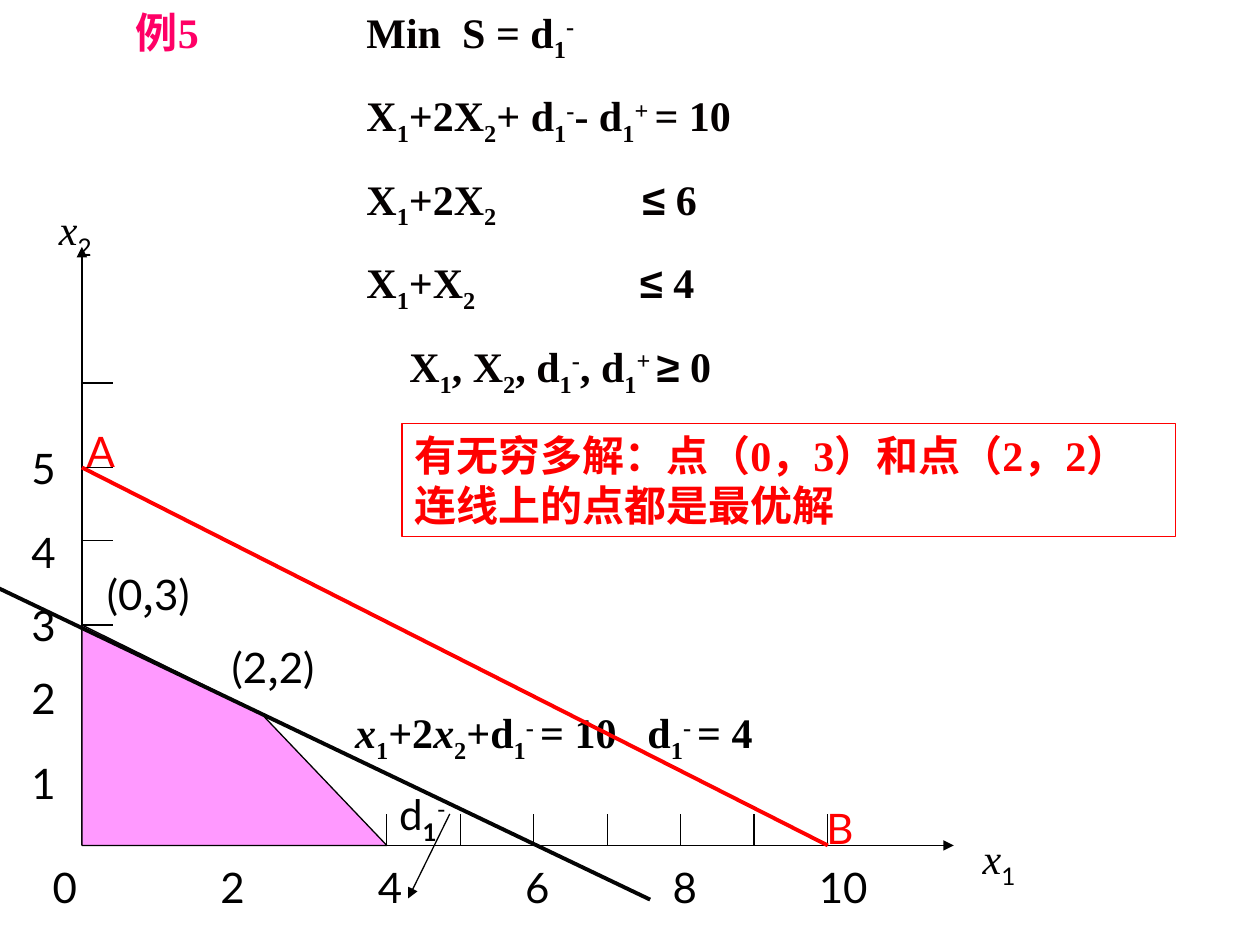
from itertools import groupby

from lxml.etree import SubElement
from pptx import Presentation
from pptx.dml.color import RGBColor
from pptx.enum.shapes import MSO_CONNECTOR, MSO_SHAPE
from pptx.enum.text import MSO_ANCHOR, MSO_AUTO_SIZE, PP_ALIGN
from pptx.oxml.ns import qn
from pptx.util import Inches, Pt

COLORS = {"black": "000000", "ink": "040404", "formula": "040000",
          "red": "FF0000", "pink": "FF0066", "region": "FF99FF"}
SERIF, SANS, CJK, SYMBOL = "Times New Roman", "Lato", "Noto Sans CJK SC", "Arial"
MARKS = {"_": "sub", "^": "super", "/": "italic"}
BASELINES = {"sub": "-25000", "super": "30000"}


def color(name):
    return RGBColor.from_string(COLORS[name])


def styled_characters(text, font, special):
    """Yield (character, mark, font); _ ^ / mark the character that follows."""
    mark = None
    for character in text:
        if character in MARKS:
            mark = MARKS[character]
        else:
            yield character, mark, special.get(character, font)
            mark = None


def write(para, text, font=SANS, ink="black", bold=False, special=None):
    characters = styled_characters(text, font, special or {})
    for (mark, face), group in groupby(characters, key=lambda item: item[1:]):
        span = para.add_run()
        span.text = "".join(item[0] for item in group)
        span.font.size = Pt(24)
        span.font.name = face
        span.font.bold = bold
        span.font.italic = mark == "italic"
        span.font.color.rgb = color(ink)
        properties = span.font._element
        SubElement(properties, qn("a:ea"), typeface=CJK)
        if mark in BASELINES:
            properties.set("baseline", BASELINES[mark])


def set_tabs(para, stops):
    tab_list = SubElement(para._p.get_or_add_pPr(), qn("a:tabLst"))
    for stop in stops:
        SubElement(tab_list, qn("a:tab"), pos=str(Inches(stop)), algn="l")


class GraphSlide:
    def __init__(self, deck):
        self.page = deck.slides.add_slide(deck.slide_layouts[6])

    def line(self, start, end, ink="black", width=0.75, arrow=False):
        points = [Inches(value) for value in (*start, *end)]
        connector = self.page.shapes.add_connector(MSO_CONNECTOR.STRAIGHT, *points)
        connector.line.color.rgb = color(ink)
        connector.line.width = Pt(width)
        if arrow:
            SubElement(connector.line._get_or_add_ln(), qn("a:tailEnd"), type="triangle")
        SubElement(connector._element.spPr, qn("a:effectLst"))

    def outline(self, shape, ink):
        shape.shadow.inherit = False
        shape.line.color.rgb = color(ink)
        shape.line.width = Pt(0.75)

    def region(self, points, fill):
        corners = [(Inches(x), Inches(y)) for x, y in points]
        builder = self.page.shapes.build_freeform(*corners[0])
        builder.add_line_segments(corners[1:], close=True)
        shape = builder.convert_to_shape()
        self.outline(shape, "black")
        shape.fill.solid()
        shape.fill.fore_color.rgb = color(fill)

    def first_paragraph(self, shape):
        frame = shape.text_frame
        frame.word_wrap = True
        frame.auto_size = MSO_AUTO_SIZE.SHAPE_TO_FIT_TEXT
        frame.vertical_anchor = MSO_ANCHOR.TOP
        para = frame.paragraphs[0]
        para.alignment = PP_ALIGN.LEFT
        return para

    def text(self, left, top, width, height, text="", **style):
        """Add a text box and return its first paragraph."""
        box = self.page.shapes.add_textbox(
            *map(Inches, (left, top, width, height)))
        para = self.first_paragraph(box)
        write(para, text, **style)
        return para

    def framed_text(self, left, top, width, height, text, ink, **style):
        box = self.page.shapes.add_shape(
            MSO_SHAPE.RECTANGLE, *map(Inches, (left, top, width, height)))
        box.fill.background()
        self.outline(box, ink)
        write(self.first_paragraph(box), text, ink=ink, **style)

    def formulas(self, left, top, width, height, heading, rows):
        """Add the heading and rows of (text, tab stops) in one text box."""
        box = self.page.shapes.add_textbox(
            *map(Inches, (left, top, width, height)))
        para = self.first_paragraph(box)
        for index, (text, stops) in enumerate(rows):
            if index:
                para = box.text_frame.add_paragraph()
                para.space_before = Pt(15)
            set_tabs(para, stops)
            if not index:
                write(para, heading, SERIF, "pink", True)
            write(para, text, SERIF, "formula", True, {"≤": SYMBOL, "≥": SYMBOL})


def draw_axes(graph, origin):
    left, base = origin
    step, tick = 0.583, 0.25
    graph.line(origin, (7.57, base), arrow=True)
    graph.line(origin, (left, 1.96), arrow=True)
    tick_columns = [left + step * n for n in (1, 2, 3)]
    tick_columns += [3.07 + step * n for n in range(7)]
    for x in tick_columns:
        graph.line((x, base), (x, base - tick))
    for y in (6.13, 5.54, 4.96, 4.29, 3.71, 3.04):
        graph.line((left, y), (left + tick, y))
    for index, x in enumerate((0.32, 1.65, 2.9, 4.07, 5.24, 6.4)):
        number = str(2 * index)
        graph.text(x, 6.79, 0.2 + 0.22 * len(number), 0.5, number)
    for number, y in enumerate((5.96, 5.29, 4.71, 4.13, 3.46), start=1):
        graph.text(0.15, y, 0.42, 0.5, str(number))


def main():
    deck = Presentation()
    deck.slide_width, deck.slide_height = Inches(10), Inches(7.5)
    graph = GraphSlide(deck)
    origin = (0.65, 6.71)
    point_a, point_b = (0.65, 3.71), (6.57, 6.71)

    draw_axes(graph, origin)
    graph.region([(0.65, 4.96), origin, (3.07, 6.71), (2.07, 5.66)], "region")

    equation = graph.text(2.72, 5.56, 5.35, 0.56, "/x_1+2/x_2+d_1^-^ = 10\td_1^-^ = 4",
                          font=SERIF, bold=True)
    set_tabs(equation, [2.32])
    graph.line((3.57, 6.46), (3.24, 7.13), arrow=True)
    deviation = graph.text(3.07, 6.21, 0.83, 0.56, "d")
    write(deviation, "_1", bold=True)
    write(deviation, "^-")

    graph.text(0.59, 3.33, 0.67, 0.5, "A", ink="red")
    graph.text(6.46, 6.32, 0.67, 0.5, "B", ink="red")
    graph.text(1.74, 5.04, 1, 0.5, "(2,2)", special={",": CJK})
    graph.framed_text(3.19, 3.36, 6.14, 0.9,
                      "有无穷多解：点（0，3）和点（2，2）连线上的点都是最优解",
                      "red", font=SERIF, bold=True, special={"，": CJK})
    graph.text(0.75, 4.46, 0.92, 0.5, "(0,3)", special={",": CJK})
    graph.line(point_a, point_b, ink="red", width=2.25)
    graph.line((-0.28, 4.54), (5.16, 7.14), ink="ink", width=2.25)

    graph.formulas(0.98, 0, 8.58, 3.21, "例5", [
        ("\tMin\tS = d_1^-", [1.83, 2.59]),
        ("\tX_1+2X_2+ d_1^-- d_1^+^ = 10", [1.83]),
        ("\tX_1+2X_2\t≤ 6", [1.83, 4.02]),
        ("\tX_1+X_2\t≤ 4", [1.83, 4]),
        ("\tX_1, X_2, d_1^-, d_1^+^ ≥ 0", [2.17]),
    ])

    for left, top, width, subscript in ((7.7, 6.56, 0.58, "_1"), (0.37, 1.57, 0.67, "_2")):
        axis_name = graph.text(left, top, width, 0.56, "/x", font=SERIF)
        write(axis_name, subscript)

    deck.save("out.pptx")


if __name__ == "__main__":
    main()
